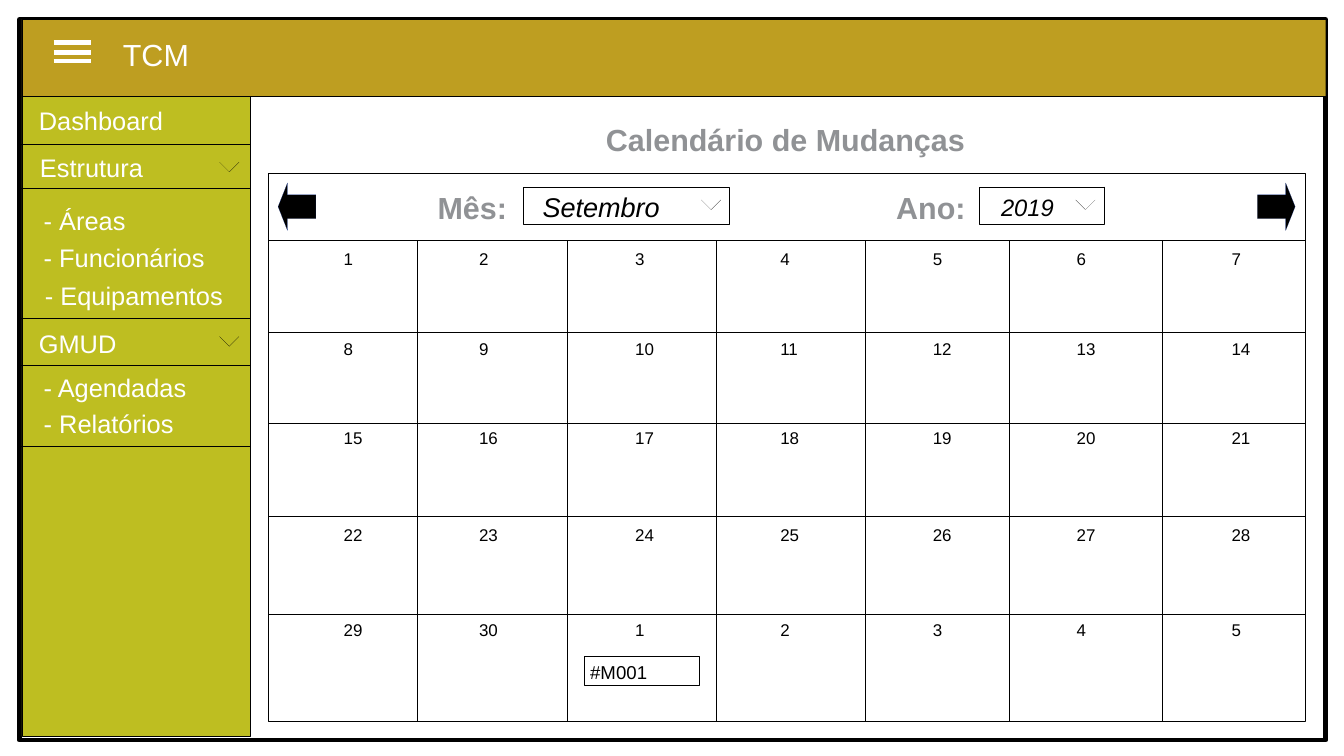
from lxml import etree
from pptx import Presentation
from pptx.dml.color import RGBColor
from pptx.enum.shapes import MSO_CONNECTOR, MSO_SHAPE
from pptx.enum.text import MSO_ANCHOR, MSO_AUTO_SIZE, PP_ALIGN
from pptx.oxml.ns import qn
from pptx.util import Inches, Pt

RECT = MSO_SHAPE.RECTANGLE
LEFT_ARROW = MSO_SHAPE.LEFT_ARROW
RIGHT_ARROW = MSO_SHAPE.RIGHT_ARROW
STRAIGHT = MSO_CONNECTOR.STRAIGHT
TOP = MSO_ANCHOR.TOP
LEFT = PP_ALIGN.LEFT
GROW = MSO_AUTO_SIZE.SHAPE_TO_FIT_TEXT

BLACK, WHITE, GRAY = "000000", "FFFFFF", "909295"
GOLD, OLIVE, BLUE = "BE9E21", "BEBE21", "21409A"
HAIRLINE, THICK = 0.05, 2.83


def color(hex_code):
    """Turn a hex string into a colour."""
    return RGBColor.from_string(hex_code)


def add_block(slide, kind, box, fill=None, outline=BLACK, weight=HAIRLINE):
    """Draw a preset shape in the box, hollow when no fill is given."""
    block = slide.shapes.add_shape(kind, *map(Inches, box))
    block.shadow.inherit = False
    if fill:
        block.fill.solid()
        block.fill.fore_color.rgb = color(fill)
    else:
        block.fill.background()
    block.line.color.rgb = color(outline)
    block.line.width = Pt(weight)
    return block


def add_rule(slide, x1, y1, x2, y2, stroke=BLACK, weight=HAIRLINE):
    """Draw a straight line between two points."""
    rule = slide.shapes.add_connector(STRAIGHT, *map(Inches, (x1, y1, x2, y2)))
    rule.line.color.rgb = color(stroke)
    rule.line.width = Pt(weight)
    etree.SubElement(rule._element.spPr, qn("a:effectLst"))


def add_label(slide, text, x, y, width, size, ink=BLACK, bold=False, italic=False, wrap=False):
    """Write one line of text in a box as tall as its font needs."""
    height = round(size / 72 * 1.12 + 0.1, 2)
    label = slide.shapes.add_textbox(*map(Inches, (x, y, width, height)))
    frame = label.text_frame
    frame.word_wrap = wrap
    frame.auto_size = GROW
    frame.vertical_anchor = TOP
    paragraph = frame.paragraphs[0]
    paragraph.alignment = LEFT
    run = paragraph.add_run()
    run.text = text
    run.font.name = "Arial"
    run.font.size = Pt(size)
    run.font.bold = bold
    run.font.italic = italic
    run.font.color.rgb = color(ink)


def add_chevron(slide, x, y):
    """Draw the small mark that opens a list."""
    add_rule(slide, x, y, x + 0.08, y + 0.08)
    add_rule(slide, x + 0.08, y + 0.08, x + 0.16, y)


def add_header(slide, box):
    """Draw the top bar with its menu icon and system name."""
    left, top = box[:2]
    add_block(slide, RECT, box, GOLD)
    for offset in (0.19, 0.27, 0.34):
        add_rule(slide, left + 0.26, top + offset, left + 0.57, top + offset, WHITE, THICK)
    add_label(slide, "TCM", left + 0.73, top + 0.09, 0.76, 18, WHITE)


def add_sidebar(slide, box):
    """Draw the navigation column with its sections and entries."""
    left, top, width, _ = box
    add_block(slide, RECT, box, OLIVE)
    for offset in (0.39, 0.75, 1.82, 2.2, 2.87):
        add_rule(slide, left - 0.02, top + offset, left + width, top + offset)
    entries = (
        ("Dashboard", 0.04, 0.02, 1.24),
        ("Estrutura", 0.05, 0.41, 1.07),
        ("- Áreas", 0.08, 0.84, 0.89),
        ("- Funcionários", 0.08, 1.15, 1.55),
        ("- Equipamentos", 0.09, 1.46, 1.68),
        ("GMUD", 0.04, 1.85, 0.86),
        ("- Agendadas", 0.08, 2.21, 1.39),
        ("- Relatórios", 0.08, 2.51, 1.32),
    )
    for entry, dx, dy, entry_width in entries:
        add_label(slide, entry, left + dx, top + dy, entry_width, 15, WHITE)
    for offset in (0.54, 1.97):
        add_chevron(slide, left + 1.62, top + offset)


def add_month_bar(slide, box):
    """Draw the arrows and the month and year selectors."""
    left, top, width, height = box
    add_rule(slide, left, top + height, left + width, top + height)
    for kind, dx in ((LEFT_ARROW, 0.08), (RIGHT_ARROW, width - 0.39)):
        arrow = add_block(slide, kind, (left + dx, top + 0.08, 0.31, 0.39), BLACK, BLUE)
        arrow.adjustments[0] = 0.5
        arrow.adjustments[1] = 0.25
    selectors = (
        ("Mês:", 1.29, 2.09, 1.69, "Setembro", 2.15, 0.09, 1.18, 16),
        ("Ano:", 5.05, 5.83, 1.02, "2019", 5.91, 0.11, 0.66, 14),
    )
    for caption, caption_dx, field_dx, field_width, choice, dx, dy, choice_width, size in selectors:
        add_block(slide, RECT, (left + field_dx, top + 0.11, field_width, 0.31))
        add_label(slide, caption, left + caption_dx, top + 0.08, 0.92, 18, GRAY, bold=True, wrap=True)
        add_label(slide, choice, left + dx, top + dy, choice_width, size, italic=True)
        add_chevron(slide, left + field_dx + field_width - 0.23, top + 0.22)


def add_calendar(slide, box):
    """Draw the month grid with its title, days and scheduled change."""
    left, top, width, height = box
    bar_height = 0.55
    add_block(slide, RECT, box)
    add_label(slide, "Calendário de Mudanças", left + 2.67, top - 0.48, 3.23, 18, GRAY, bold=True)
    add_month_bar(slide, (left, top, width, bar_height))
    for offset in (1.22, 2.45, 3.67, 4.89, 6.07, 7.33):
        add_rule(slide, left + offset, top + bar_height, left + offset, top + height)
    for offset in (1.3, 2.05, 2.81, 3.62):
        add_rule(slide, left, top + offset, left + width, top + offset)
    day_columns = (0.52, 1.63, 2.91, 4.1, 5.35, 6.53, 7.8)
    for week, dy in enumerate((0.57, 1.31, 2.04, 2.83, 3.61)):
        for weekday, dx in enumerate(day_columns):
            day = (week * len(day_columns) + weekday) % 30 + 1
            day_width = 0.29 if day < 10 else 0.38
            add_label(slide, str(day), left + dx, top + dy, day_width, 10)
    add_block(slide, RECT, (left + 2.59, top + 3.96, 0.94, 0.24))
    add_label(slide, "#M001", left + 2.54, top + 3.95, 0.69, 11)


def main():
    """Build the change calendar screen and save it."""
    deck = Presentation()
    deck.slide_width = Inches(11.02)
    deck.slide_height = Inches(6.2)
    slide = deck.slides.add_slide(deck.slide_layouts[6])
    add_block(slide, RECT, (0.16, 0.16, 10.71, 5.91), weight=THICK)
    add_header(slide, (0.18, 0.16, 10.69, 0.63))
    add_sidebar(slide, (0.18, 0.79, 1.87, 5.25))
    add_calendar(slide, (2.2, 1.42, 8.5, 4.49))
    deck.save("out.pptx")


if __name__ == "__main__":
    main()
